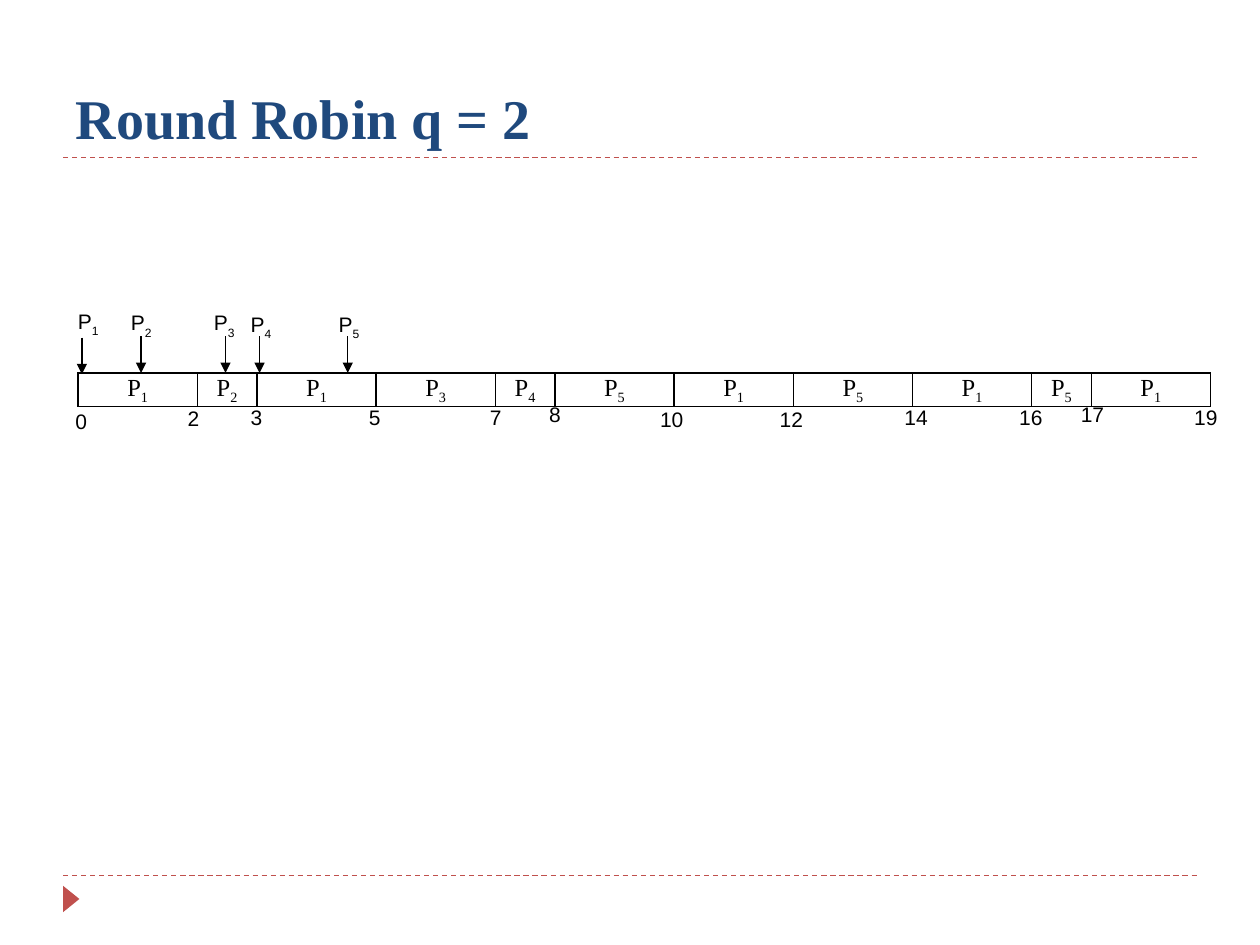
from lxml import etree
from pptx import Presentation
from pptx.dml.color import RGBColor
from pptx.enum.dml import MSO_LINE
from pptx.enum.shapes import MSO_CONNECTOR, MSO_SHAPE
from pptx.enum.text import MSO_ANCHOR, PP_ALIGN
from pptx.oxml.ns import qn
from pptx.util import Inches, Pt

STRAIGHT = MSO_CONNECTOR.STRAIGHT
TRIANGLE = MSO_SHAPE.ISOSCELES_TRIANGLE
DASH = MSO_LINE.DASH
LEFT, CENTER = PP_ALIGN.LEFT, PP_ALIGN.CENTER
MIDDLE, BOTTOM = MSO_ANCHOR.MIDDLE, MSO_ANCHOR.BOTTOM

COLORS = {"accent": "C0504D", "title": "1F497D", "ink": "000000"}
SERIF, SANS = "Times New Roman", "Arial"

# Gantt chart: process number and running time of each slice
SLICES = [(1, 2), (2, 1), (1, 2), (3, 2), (4, 1), (5, 2),
          (1, 2), (5, 2), (1, 2), (5, 1), (1, 2)]
CHART_LEFT, CHART_TOP, CHART_WIDTH, CHART_HEIGHT = 0.62, 2.96, 8.99, 0.23

# Arrivals: process number, label left, label top, arrow x, arrow top
ARRIVALS = [(1, 0.52, 2.4, 0.65, 2.68), (2, 0.94, 2.41, 1.12, 2.67),
            (3, 1.6, 2.41, 1.79, 2.67), (4, 1.89, 2.42, 2.06, 2.67),
            (5, 2.59, 2.42, 2.76, 2.67)]
ARROW_LENGTH = 0.29

# Time marks: time, label left, label top
TIMES = [(0, 0.5, 3.19), (2, 1.39, 3.17), (3, 1.89, 3.16), (5, 2.83, 3.16),
         (7, 3.79, 3.16), (8, 4.26, 3.14), (10, 5.14, 3.18), (12, 6.09, 3.18),
         (14, 7.08, 3.16), (16, 7.99, 3.16), (17, 8.48, 3.14), (19, 9.38, 3.16)]


def rgb(name):
    return RGBColor.from_string(COLORS[name])


def add_run(paragraph, text, size, font, color="ink", bold=False, baseline=None):
    run = paragraph.add_run()
    run.text = text
    run.font.size = Pt(size)
    run.font.name = font
    run.font.bold = bold
    run.font.color.rgb = rgb(color)
    if baseline is not None:
        run._r.get_or_add_rPr().set("baseline", str(baseline * 1000))


def add_process_name(paragraph, number, size, font, baseline):
    add_run(paragraph, "P", size, font)
    add_run(paragraph, str(number), size, font, baseline=baseline)


def add_line(slide, start, end, color, dashed=False, arrow=False):
    line = slide.shapes.add_connector(STRAIGHT, *map(Inches, start + end))
    line.line.color.rgb = rgb(color)
    line.line.width = Pt(0.75)
    if dashed:
        line.line.dash_style = DASH
    if arrow:
        etree.SubElement(line.line._get_or_add_ln(), qn("a:tailEnd"), type="triangle")
    etree.SubElement(line._element.spPr, qn("a:effectLst"))


def add_label(slide, left, top, width, height):
    box = slide.shapes.add_textbox(*map(Inches, (left, top, width, height)))
    box.text_frame.word_wrap = True
    return box.text_frame.paragraphs[0]


def add_title(slide, text):
    title = slide.shapes.title
    title.left, title.top = Inches(0.5), Inches(0.17)
    title.width, title.height = Inches(9), Inches(1.08)
    title.text_frame.vertical_anchor = BOTTOM
    paragraph = title.text_frame.paragraphs[0]
    paragraph.alignment = LEFT
    add_run(paragraph, text, 32, SERIF, "title", bold=True)


def add_decoration(slide):
    for y in (1.25, 6.95):
        add_line(slide, (0.5, y), (9.5, y), "accent", dashed=True)
    marker = slide.shapes.add_shape(
        TRIANGLE, Inches(0.46), Inches(7.07), Inches(0.21), Inches(0.13))
    marker.rotation = 90
    marker.shadow.inherit = False
    marker.fill.solid()
    marker.fill.fore_color.rgb = rgb("accent")
    marker.line.fill.background()


def set_borders(cell):
    properties = cell._tc.get_or_add_tcPr()
    for position, side in enumerate(("lnL", "lnR", "lnT", "lnB")):
        border = etree.Element(qn(f"a:{side}"), w=str(Pt(1)))
        fill = etree.SubElement(border, qn("a:solidFill"))
        etree.SubElement(fill, qn("a:srgbClr"), val=COLORS["ink"])
        properties.insert(position, border)


def add_gantt_chart(slide):
    frame = slide.shapes.add_table(
        1, len(SLICES), Inches(CHART_LEFT), Inches(CHART_TOP),
        Inches(CHART_WIDTH), Inches(CHART_HEIGHT))
    table = frame.table
    table.first_row = table.horz_banding = False
    unit = CHART_WIDTH / sum(duration for _, duration in SLICES)
    for column, (process, duration) in enumerate(SLICES):
        table.columns[column].width = Inches(unit * duration)
        cell = table.cell(0, column)
        cell.fill.background()
        cell.vertical_anchor = MIDDLE
        cell.margin_left = cell.margin_right = Inches(0.09)
        cell.margin_top = cell.margin_bottom = 0
        set_borders(cell)
        paragraph = cell.text_frame.paragraphs[0]
        paragraph.alignment = CENTER
        add_process_name(paragraph, process, 14, SERIF, -25)


def main():
    presentation = Presentation()
    presentation.slide_width = Inches(10)
    presentation.slide_height = Inches(7.5)
    slide = presentation.slides.add_slide(presentation.slide_layouts[5])

    add_decoration(slide)
    add_title(slide, "Round Robin q = 2")

    # Arrivals above the chart
    for process, left, top, x, y in ARRIVALS:
        add_line(slide, (x, y), (x, y + ARROW_LENGTH), "ink", arrow=True)
        paragraph = add_label(slide, left, top, 0.43, 0.43)
        add_process_name(paragraph, process, 12, SANS, -30)

    # Time marks below the chart
    for time, left, top in TIMES:
        width = 0.43 if time < 10 else 0.54
        add_run(add_label(slide, left, top, width, 0.3), str(time), 12, SANS)

    add_gantt_chart(slide)
    presentation.save("out.pptx")


if __name__ == "__main__":
    main()
